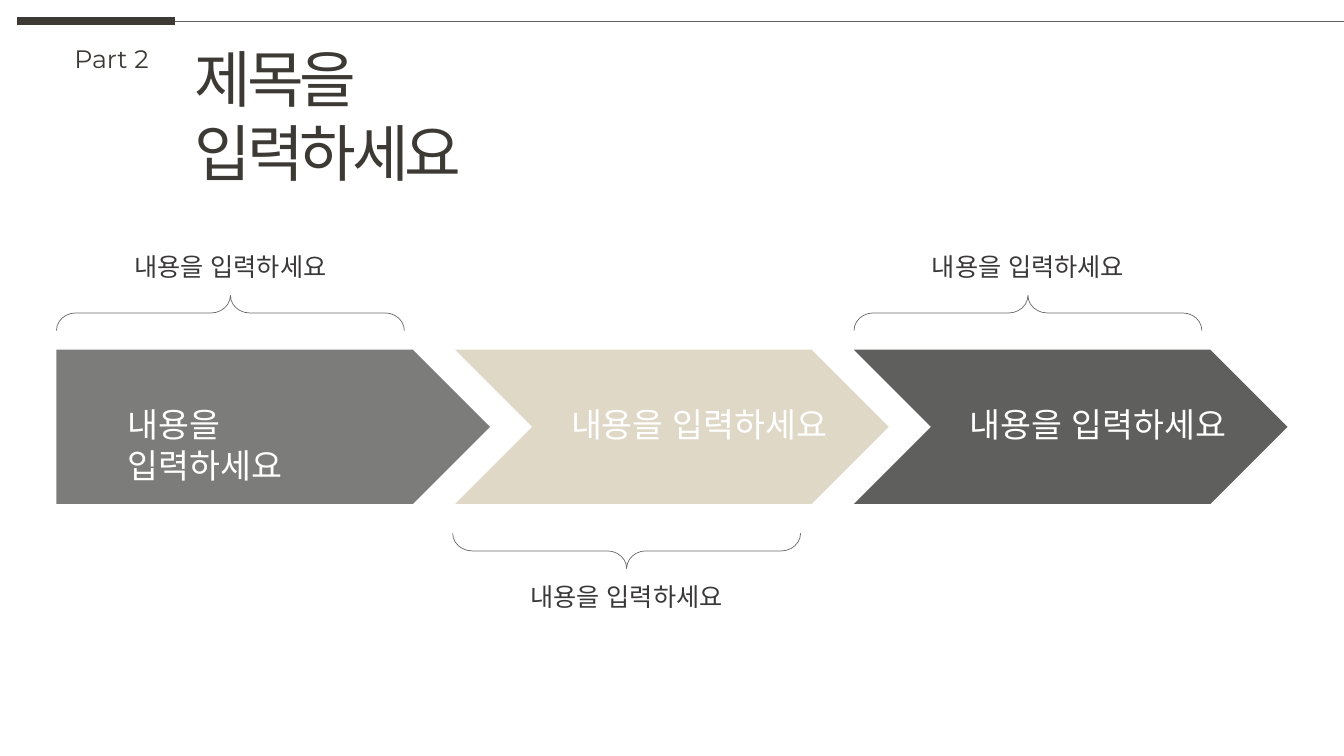
from lxml import etree
from pptx import Presentation
from pptx.dml.color import RGBColor
from pptx.enum.shapes import MSO_CONNECTOR, MSO_SHAPE
from pptx.enum.text import MSO_ANCHOR, MSO_AUTO_SIZE, PP_ALIGN
from pptx.oxml.ns import qn
from pptx.util import Inches, Pt

LEFT, CENTER = PP_ALIGN.LEFT, PP_ALIGN.CENTER
TOP = MSO_ANCHOR.TOP
GROW = MSO_AUTO_SIZE.SHAPE_TO_FIT_TEXT
STRAIGHT = MSO_CONNECTOR.STRAIGHT
PENTAGON, CHEVRON = MSO_SHAPE.PENTAGON, MSO_SHAPE.CHEVRON
BRACE = MSO_SHAPE.LEFT_BRACE

INK = RGBColor(0x3D, 0x3A, 0x35)
LABEL = RGBColor(0x3A, 0x38, 0x38)
BRACE_LINE = RGBColor(0x6C, 0x69, 0x69)
GRAY = RGBColor(0x7C, 0x7C, 0x7A)
BEIGE = RGBColor(0xDF, 0xD8, 0xC7)
DARK = RGBColor(0x5F, 0x5F, 0x5D)
WHITE = RGBColor(0xFF, 0xFF, 0xFF)

FONT = "Montserrat"
SLIDE_W, SLIDE_H = 13.33, 7.5
CONTENT = "내용을 입력하세요"
STEP_W, STEP_H, STEP_PITCH = 4.3, 1.53, 3.955
BRACE_W, BRACE_H = 3.45, 0.35
LABEL_W, LABEL_H = 2.11, 0.4


def place(shape, x, y, w, h):
    shape.left, shape.top = Inches(x), Inches(y)
    shape.width, shape.height = Inches(w), Inches(h)


def write(shape, text, size=18, color=INK, align=LEFT, wrap=False, spacing=0):
    tf = shape.text_frame
    tf.word_wrap = wrap
    tf.auto_size = GROW
    tf.vertical_anchor = TOP
    p = tf.paragraphs[0]
    p.alignment = align
    r = p.add_run()
    r.text = text
    r.font.size, r.font.name = Pt(size), FONT
    r.font.color.rgb = color
    rPr = r.font._element
    etree.SubElement(rPr, qn("a:ea")).set("typeface", FONT)
    if spacing:
        rPr.set("spc", str(spacing * 100))


def add_text(s, text, x, y, w, h, **fmt):
    box = s.shapes.add_textbox(Inches(x), Inches(y), Inches(w), Inches(h))
    write(box, text, **fmt)


def add_rule(s, x1, x2, y, color, weight):
    line = s.shapes.add_connector(STRAIGHT, Inches(x1), Inches(y), Inches(x2), Inches(y))
    line.line.color.rgb = color
    line.line.width = Pt(weight)
    etree.SubElement(line._element.spPr, qn("a:effectLst"))


def add_header(s, x, y):
    split = x + 1.57
    add_rule(s, x, split, y, INK, 6)
    add_rule(s, split, SLIDE_W, y, DARK, 0.5)
    add_text(s, "Part 2", x + 0.47, y + 0.17, 0.97, 0.4)
    title = s.shapes.title
    place(title, x + 1.66, y + 0.15, 4.26, 0.84)
    write(title, "제목을 입력하세요", size=44, wrap=True, spacing=-3)


def add_brace(s, cx, cy, rotation):
    """Centre a brace on (cx, cy); its tall preset is turned on its side."""
    sp = s.shapes.add_shape(BRACE, 0, 0, 0, 0)
    place(sp, cx - BRACE_H / 2, cy - BRACE_W / 2, BRACE_H, BRACE_W)
    sp.adjustments[0] = 0.545
    sp.rotation = rotation
    sp.shadow.inherit = False
    sp.fill.background()
    sp.line.color.rgb = BRACE_LINE
    sp.line.width = Pt(0.5)


def add_step(s, x, y, preset, color, text_x, text_w, wrap=False):
    sp = s.shapes.add_shape(preset, 0, 0, 0, 0)
    place(sp, x, y, STEP_W, STEP_H)
    sp.shadow.inherit = False
    sp.fill.solid()
    sp.fill.fore_color.rgb = color
    sp.line.fill.background()
    add_text(s, CONTENT, x + text_x, y + 0.49, text_w, 0.5,
             size=24, color=WHITE, wrap=wrap)


def add_note(s, x, y, above):
    """Add a brace and its label above or below the step at (x, y)."""
    cx = x + BRACE_W / 2
    if above:
        brace_y, label_y, rotation = y - 0.365, y - 1.03, 90
    else:
        cx -= 0.025
        brace_y, label_y, rotation = y + STEP_H + 0.465, y + STEP_H + 0.72, 270
    add_brace(s, cx, brace_y, rotation)
    add_text(s, CONTENT, cx - LABEL_W / 2, label_y, LABEL_W, LABEL_H,
             color=LABEL, align=CENTER)


def add_process(s, x, y):
    steps = [
        (PENTAGON, GRAY, 0.61, 2.62, True),
        (CHEVRON, BEIGE, 1.05, 2.75, False),
        (CHEVRON, DARK, 1.05, 2.75, False),
    ]
    for i, step in enumerate(steps):
        step_x = x + i * STEP_PITCH
        add_step(s, step_x, y, *step)
        add_note(s, step_x, y, above=i % 2 == 0)


def main():
    prs = Presentation()
    prs.slide_width, prs.slide_height = Inches(SLIDE_W), Inches(SLIDE_H)
    s = prs.slides.add_slide(prs.slide_layouts[5])
    add_header(s, 0.17, 0.21)
    add_process(s, 0.56, 3.47)
    prs.save("out.pptx")


if __name__ == "__main__":
    main()
